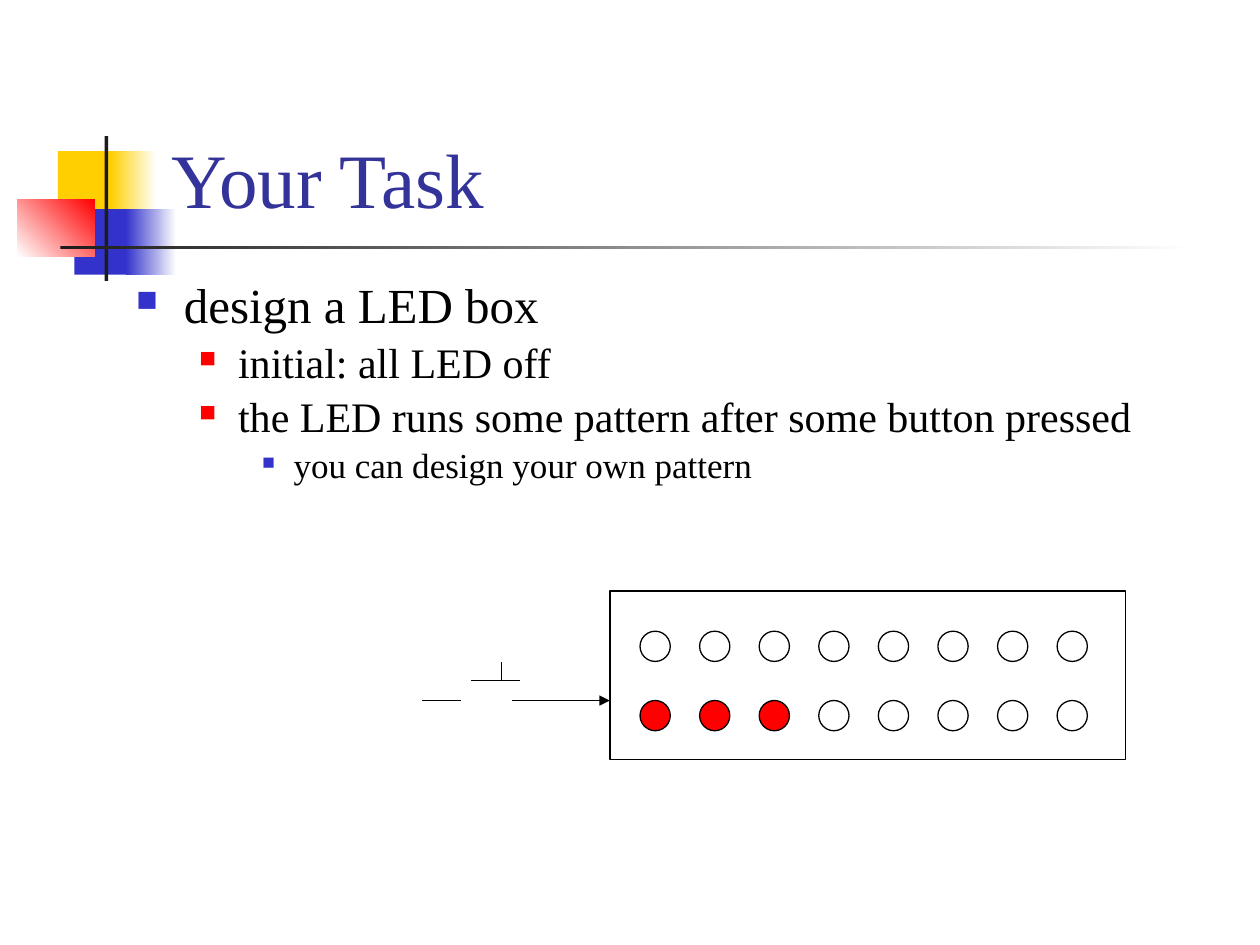
from lxml import etree
from pptx import Presentation
from pptx import util as u
from pptx.dml.color import RGBColor
from pptx.enum import shapes, text
from pptx.oxml.ns import qn

FONT = "Times New Roman"
COLORS = {
    "yellow": "FFCF01", "blue": "3333CC", "red": "FF0000", "dark": "1C1C1C",
    "white": "FFFFFF", "black": "000000", "title": "333399",
}
# Per level: text size, left margin, hanging indent, bullet colour, bullet percent
LEVELS = [
    (28, 0.38, 0.38, "blue", 60),
    (24, 0.81, 0.31, "red", 55),
    (20, 1.25, 0.25, "blue", 50),
]
BULLETS = [
    (0, "design a LED box"),
    (1, "initial: all LED off"),
    (1, "the LED runs some pattern after some button pressed"),
    (2, "you can design your own pattern"),
]


def color(name):
    return RGBColor.from_string(COLORS[name])


def add_element(parent, tag, **attributes):
    return etree.SubElement(parent, qn(tag), attributes)


def add_preset(slide, kind, left, top, width, height, fill=None, outline=None):
    shape = slide.shapes.add_shape(kind, *map(u.Inches, (left, top, width, height)))
    shape.shadow.inherit = False
    if fill:
        shape.fill.solid()
        shape.fill.fore_color.rgb = color(fill)
    else:
        shape.fill.background()
    if outline:
        shape.line.color.rgb = color(outline)
        shape.line.width = u.Pt(0.75)
    else:
        shape.line.fill.background()
    return shape


def add_line(slide, start, end, arrow=False):
    line = slide.shapes.add_connector(
        shapes.MSO_CONNECTOR.STRAIGHT, *map(u.Inches, (*start, *end)))
    line.line.color.rgb = color("black")
    line.line.width = u.Pt(0.75)
    properties = line._element.spPr
    if arrow:
        add_element(properties.find(qn("a:ln")), "a:tailEnd", type="triangle")
    add_element(properties, "a:effectLst")


def add_decoration(slide, left, top):
    # Each block: offset, size, first colour, last colour, gradient angle
    blocks = [
        (0.32, 0.12, 0.48, 0.52, "yellow", None, 0),
        (0.74, 0.12, 0.36, 0.52, "yellow", "white", 0),
        (0.45, 0.58, 0.46, 0.52, "blue", None, 0),
        (0.86, 0.58, 0.40, 0.52, "blue", "white", 0),
        (0, 0.50, 0.61, 0.46, "white", "red", 45),
        (0.69, 0, 0.03, 1.15, "dark", None, 0),
        (0.34, 0.87, 9, 0.03, "dark", "white", 0),
    ]
    for x, y, width, height, first, last, angle in blocks:
        block = add_preset(slide, shapes.MSO_SHAPE.RECTANGLE,
                           left + x, top + y, width, height, first)
        if last:
            block.fill.gradient()
            block.fill.gradient_angle = angle
            for stop, name in zip(block.fill.gradient_stops, (first, last)):
                stop.color.rgb = color(name)


def place_placeholder(slide, shape, left, top, width, height, anchor):
    shape.left, shape.top, shape.width, shape.height = map(
        u.Inches, (left, top, width, height))
    slide.shapes._spTree.append(shape._element)  # in front of the decoration
    frame = shape.text_frame
    frame.word_wrap = True
    frame.auto_size = text.MSO_AUTO_SIZE.NONE
    frame.vertical_anchor = anchor
    return frame


def format_runs(paragraph, size, name):
    paragraph.alignment = text.PP_ALIGN.LEFT
    for run in paragraph.runs:
        run.font.name = FONT
        run.font.size = u.Pt(size)
        run.font.color.rgb = color(name)


def fill_title(slide, *box):
    frame = place_placeholder(slide, slide.shapes.title, *box, text.MSO_ANCHOR.BOTTOM)
    frame.text = "Your Task"
    format_runs(frame.paragraphs[0], 44, "title")


def fill_body(slide, *box):
    frame = place_placeholder(slide, slide.placeholders[1], *box, text.MSO_ANCHOR.TOP)
    frame.text = "\n".join(label for _, label in BULLETS)
    for paragraph, (level, _) in zip(frame.paragraphs, BULLETS):
        size, margin, hanging, bullet_color, percent = LEVELS[level]
        paragraph.level = level
        paragraph.line_spacing = 0.9
        format_runs(paragraph, size, "black")
        # Indent, spacing and bullet
        properties = paragraph._p.get_or_add_pPr()
        properties.set("marL", str(u.Inches(margin)))
        properties.set("indent", str(-u.Inches(hanging)))
        before = add_element(properties, "a:spcBef")
        add_element(before, "a:spcPct", val="20000")
        bullet = add_element(properties, "a:buClr")
        add_element(bullet, "a:srgbClr", val=COLORS[bullet_color])
        add_element(properties, "a:buSzPct", val=str(percent * 1000))
        add_element(properties, "a:buFont", typeface="Wingdings", charset="2")
        add_element(properties, "a:buChar", char="n")


def add_led_box(slide, left, top, width, height):
    add_preset(slide, shapes.MSO_SHAPE.RECTANGLE, left, top, width, height,
               outline="black")
    pitch, diameter, lit_count = 3.31 / 7, 0.24, 3
    for row, offset in enumerate((0.32, 0.87)):
        for column in range(8):
            lit = row == 1 and column < lit_count
            add_preset(slide, shapes.MSO_SHAPE.OVAL,
                       left + 0.24 + column * pitch, top + offset,
                       diameter, diameter, "red" if lit else None, "black")


def add_push_button(slide, left, top):
    wire, plate = top + 0.31, top + 0.15
    add_line(slide, (left, wire), (left + 0.31, wire))
    add_line(slide, (left + 0.39, plate), (left + 0.78, plate))
    add_line(slide, (left + 0.63, plate), (left + 0.63, top))
    add_line(slide, (left + 0.71, wire), (left + 0.94, wire))
    add_line(slide, (left + 0.94, wire), (left + 1.49, wire), arrow=True)


presentation = Presentation()
presentation.slide_width, presentation.slide_height = u.Inches(10), u.Inches(7.5)
slide = presentation.slides.add_slide(presentation.slide_layouts[1])
add_decoration(slide, 0.14, 1.08)
fill_title(slide, 1.26, 0.23, 8.52, 1.6)
fill_body(slide, 0.98, 2.18, 8.19, 2.05)
add_led_box(slide, 4.84, 4.69, 4.09, 1.34)
add_push_button(slide, 3.35, 5.25)
presentation.save("out.pptx")
